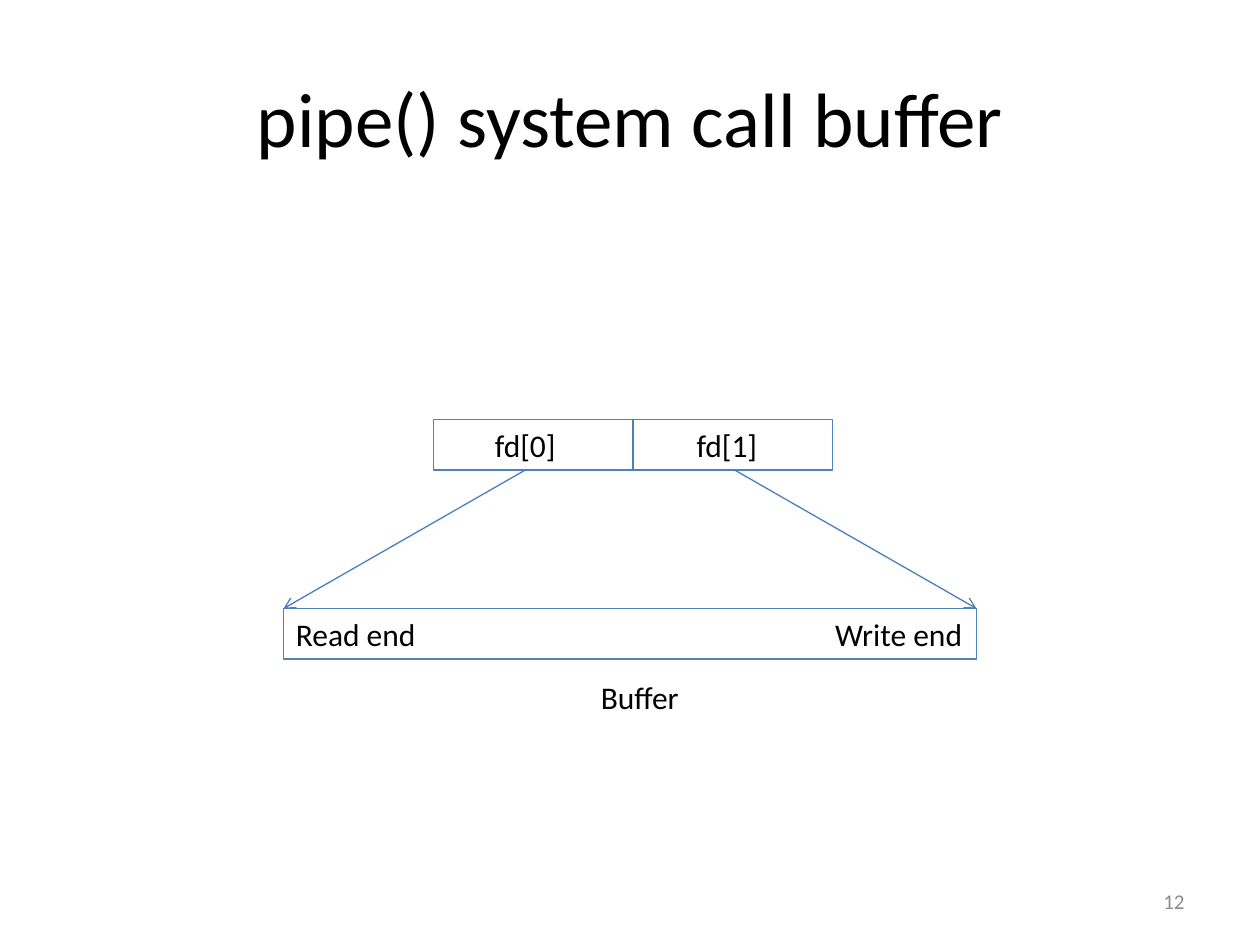
from lxml import etree
from pptx import Presentation
from pptx.dml.color import RGBColor
from pptx.enum.shapes import MSO_CONNECTOR, MSO_SHAPE
from pptx.enum.text import MSO_ANCHOR, PP_ALIGN
from pptx.oxml.ns import qn
from pptx.util import Inches, Pt

BLACK = RGBColor(0x00, 0x00, 0x00)
GRAY = RGBColor(0x8C, 0x8C, 0x8C)
BOX_BLUE = RGBColor(0x4F, 0x81, 0xBD)
LINE_BLUE = RGBColor(0x4B, 0x7E, 0xBC)


class DiagramSlide:
    font_name = "Calibri"
    line_width = Pt(0.75)
    row_height = 0.4

    def __init__(self, presentation):
        self.slide = presentation.slides.add_slide(presentation.slide_layouts[5])

    def set_text(self, frame, text, size=18, color=BLACK, align=PP_ALIGN.LEFT,
                 anchor=MSO_ANCHOR.TOP, tabs=()):
        """Fill a text frame with one paragraph; tabs are stops in inches."""
        frame.word_wrap = True
        frame.vertical_anchor = anchor
        paragraph = frame.paragraphs[0]
        paragraph.text = text
        paragraph.alignment = align
        if tabs:
            stops = etree.SubElement(paragraph._p.get_or_add_pPr(), qn("a:tabLst"))
            for stop in tabs:
                etree.SubElement(stops, qn("a:tab"), pos=str(Inches(stop)), algn="l")
        paragraph.font.name = self.font_name
        paragraph.font.size = Pt(size)
        paragraph.font.color.rgb = color

    def title(self, text):
        title = self.slide.shapes.title
        title.left, title.top = Inches(0.5), Inches(0.3)
        title.width, title.height = Inches(9), Inches(1.25)
        self.set_text(title.text_frame, text, 44, align=PP_ALIGN.CENTER,
                      anchor=MSO_ANCHOR.MIDDLE)

    def box(self, left, top, width, text, tabs):
        box = self.slide.shapes.add_shape(
            MSO_SHAPE.RECTANGLE, Inches(left), Inches(top),
            Inches(width), Inches(self.row_height))
        box.shadow.inherit = False
        box.fill.background()
        box.line.color.rgb = BOX_BLUE
        box.line.width = self.line_width
        self.set_text(box.text_frame, text, tabs=tabs)

    def label(self, left, top, width, text, **style):
        label = self.slide.shapes.add_textbox(
            Inches(left), Inches(top), Inches(width), Inches(self.row_height))
        self.set_text(label.text_frame, text, **style)

    def line(self, start, end, arrow=False):
        line = self.slide.shapes.add_connector(
            MSO_CONNECTOR.STRAIGHT, *map(Inches, start + end))
        line.line.color.rgb = LINE_BLUE
        line.line.width = self.line_width
        properties = line._element.spPr
        if arrow:
            etree.SubElement(properties.find(qn("a:ln")), qn("a:tailEnd"), type="arrow")
        etree.SubElement(properties, qn("a:effectLst"))


def main():
    presentation = Presentation()
    presentation.slide_width = Inches(10)
    presentation.slide_height = Inches(7.5)
    slide = DiagramSlide(presentation)

    slide.title("pipe() system call buffer")

    buffer_left, buffer_top, buffer_width = 2.25, 4.83, 5.5
    slide.box(buffer_left, buffer_top, buffer_width, "Read end\tWrite end", tabs=[4.28])

    fd_left, fd_top, fd_width = 3.44, 3.33, 3.17
    fd_bottom = fd_top + slide.row_height
    fd_middle = fd_left + fd_width / 2
    slide.box(fd_left, fd_top, fd_width, "\tfd[0]\tfd[1]", tabs=[0.39, 1.99])
    slide.line((fd_middle, fd_top), (fd_middle, fd_bottom))

    buffer_right = buffer_left + buffer_width
    for fd_x, buffer_x in ((4.17, buffer_left), (5.83, buffer_right)):
        slide.line((fd_x, fd_bottom), (buffer_x, buffer_top), arrow=True)

    slide.label(4.67, 5.33, 0.92, "Buffer")
    slide.label(7.17, 6.95, 2.33, "12", size=12, color=GRAY,
                align=PP_ALIGN.RIGHT, anchor=MSO_ANCHOR.MIDDLE)

    presentation.save("out.pptx")


if __name__ == "__main__":
    main()
